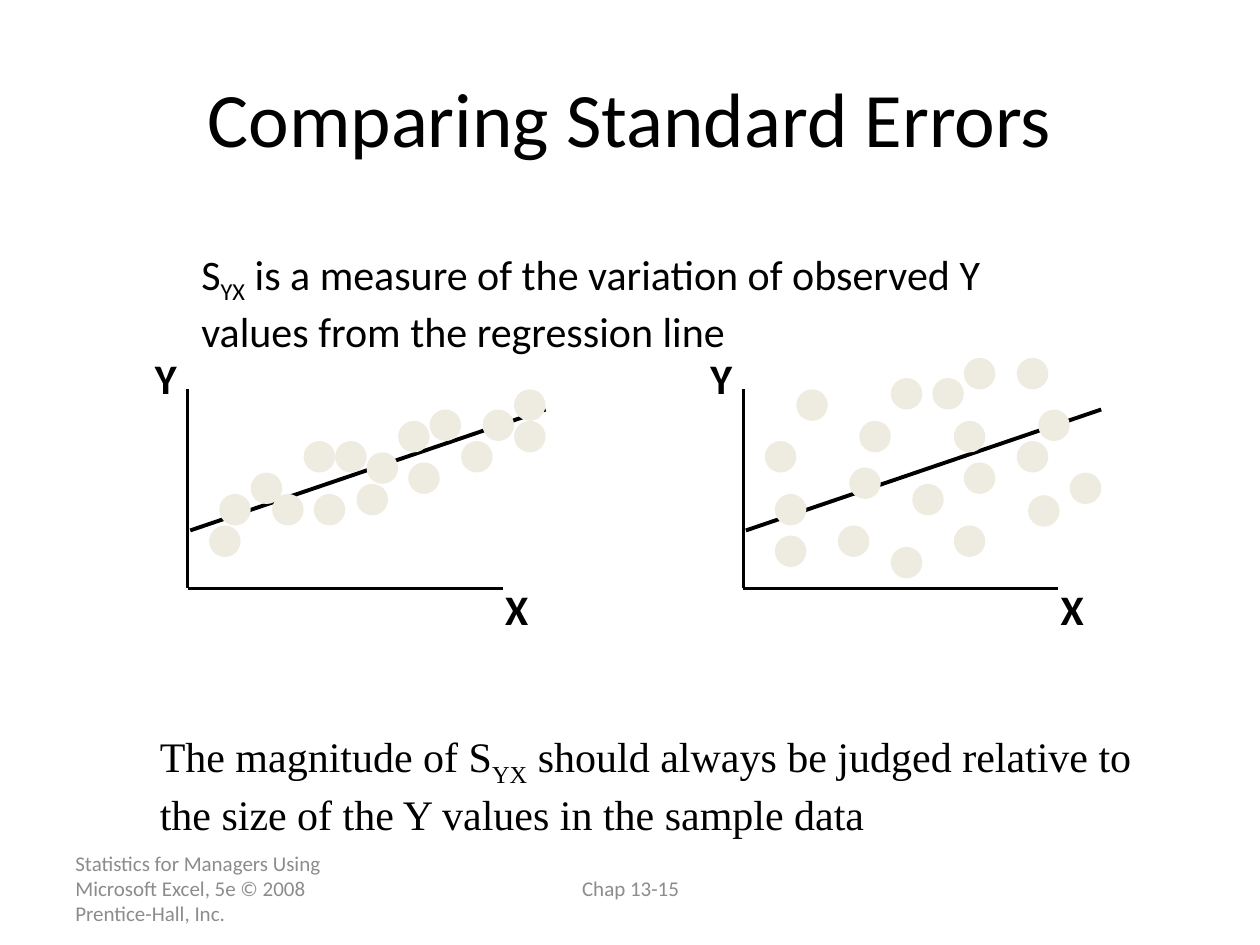
from lxml import etree
from pptx import Presentation
from pptx.dml.color import RGBColor
from pptx.enum.shapes import MSO_CONNECTOR, MSO_SHAPE
from pptx.enum.text import MSO_ANCHOR as ANCHOR, PP_ALIGN as ALIGN
from pptx.oxml.ns import qn
from pptx.util import Emu, Pt

PX = 9144
COLORS = {"ink": "000000", "footer": "8C8C8C", "dot": "EEECE1"}
DOT = 25
CLOSE_DOTS = [
    (17, 108), (25, 83), (259, 0), (234, 16), (67, 83), (217, 41),
    (192, 16), (50, 66), (92, 41), (175, 58), (134, 75), (100, 83),
    (142, 50), (167, 25), (117, 41), (259, 25),
]
SPREAD_DOTS = [
    (25, 116), (25, 83), (217, -25), (234, 16), (75, 108), (217, 41),
    (167, 108), (175, -25), (117, -9), (17, 41), (42, 0), (84, 62),
    (175, 58), (134, 75), (117, 125), (259, 66), (167, 25), (150, -9),
    (92, 25), (226, 84),
]


def px(n):
    """Turn px into EMU."""
    return Emu(n * PX)


def color(name):
    """Look up a named colour."""
    return RGBColor.from_string(COLORS[name])


def add_text(s, box, runs, size, font="Calibri", ink="ink", bold=False,
             align=ALIGN.LEFT, anchor=ANCHOR.TOP, wrap=True):
    """Place one paragraph; every second run is a subscript."""
    tf = s.shapes.add_textbox(*map(px, box)).text_frame
    tf.word_wrap = wrap
    tf.vertical_anchor = anchor
    p = tf.paragraphs[0]
    p.alignment = align
    p.font.size = Pt(size)
    p.font.name = font
    p.font.bold = bold
    p.font.color.rgb = color(ink)
    for i, text in enumerate(runs):
        r = p.add_run()
        r.text = text
        if i % 2:
            r.font._element.set("baseline", "-25000")
    return tf


def add_line(s, x1, y1, x2, y2, width):
    """Draw a straight black line without a shadow."""
    line = s.shapes.add_connector(MSO_CONNECTOR.STRAIGHT, *map(px, (x1, y1, x2, y2)))
    line.line.color.rgb = color("ink")
    line.line.width = Pt(width)
    etree.SubElement(line._element.spPr, qn("a:effectLst"))


def add_dot(s, x, y):
    """Draw one observation."""
    sp = s.shapes.add_shape(MSO_SHAPE.OVAL, px(x), px(y), px(DOT), px(DOT))
    sp.rotation = 238.6
    sp.shadow.inherit = False
    sp.fill.solid()
    sp.fill.fore_color.rgb = color("dot")
    sp.line.fill.background()


def add_plot(s, box, dots):
    """Draw axes, regression line, observations and axis labels."""
    x, y, w, h = box
    add_line(s, x, y, x, y + h, 2)
    add_line(s, x, y + h, x + w, y + h, 2)
    add_line(s, x + 2, y + 112, x + 284, y + 16, 2.25)
    for dx, dy in dots:
        add_dot(s, x + dx, y + dy)
    for label, dx, dy in (("Y", -36, -34), ("X", w - 8, h - 9)):
        add_text(s, (x + dx, y + dy, 42, 50), [label], 24, bold=True, wrap=False)


def add_footer(s, box, text, align):
    """Place footer text, raised by a deeper bottom margin."""
    tf = add_text(s, box, [text], 12, ink="footer", align=align, anchor=ANCHOR.MIDDLE)
    tf.margin_bottom = px(25)


def main():
    """Build the slide."""
    prs = Presentation()
    prs.slide_width, prs.slide_height = px(1000), px(750)
    s = prs.slides.add_slide(prs.slide_layouts[6])
    add_footer(s, (50, 695, 233, 40),
               "Statistics for Managers Using Microsoft Excel, 5e © 2008 Prentice-Hall, Inc.",
               ALIGN.LEFT)
    add_footer(s, (342, 695, 317, 40), "Chap 13-15", ALIGN.CENTER)
    add_text(s, (50, 30, 900, 125), ["Comparing Standard Errors"], 44,
             align=ALIGN.CENTER, anchor=ANCHOR.MIDDLE)
    for left, dots in ((590, SPREAD_DOTS), (149, CLOSE_DOTS)):
        add_plot(s, (left, 309, 250, 158), dots)
    add_text(s, (150, 192, 700, 90),
             ["S", "YX", " is a measure of the variation of observed Y values"
              " from the regression line"], 24)
    add_text(s, (117, 575, 817, 90),
             ["The magnitude of S", "YX", " should always be judged relative to"
              " the size of the Y values in the sample data"], 24, font="Times New Roman")
    prs.save("out.pptx")


if __name__ == "__main__":
    main()
